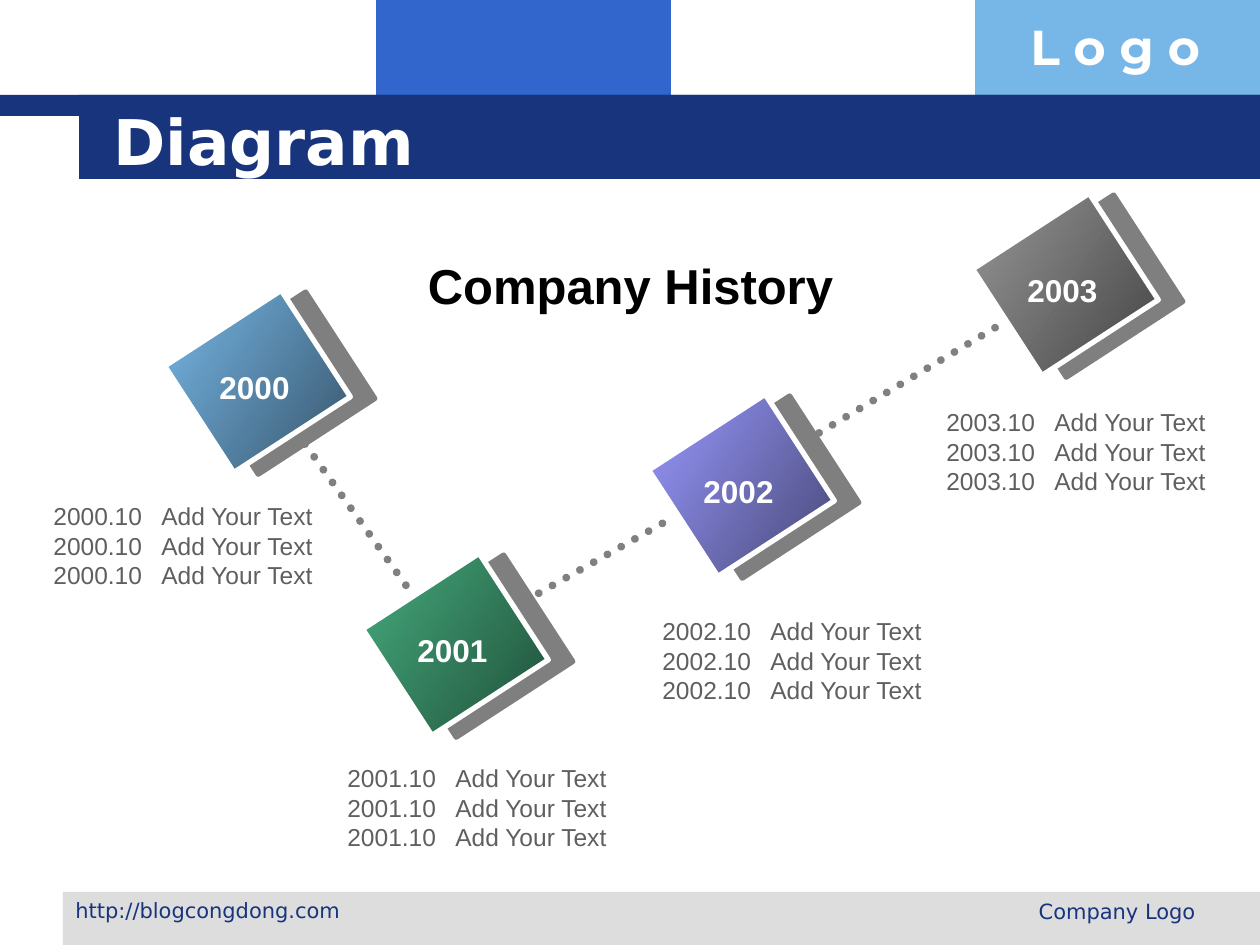
import pptx
import pptx.util
import pptx.dml.color
import pptx.enum.shapes
import pptx.enum.text
import pptx.oxml
import pptx.oxml.ns

EMU_PER_PX = 914400 / 126
ALIGN = pptx.enum.text.PP_ALIGN
ANCHOR = pptx.enum.text.MSO_ANCHOR
COLORS = {
    "navy": "17347D", "blue": "3366CC", "sky": "77B7E7", "footer": "DDDDDD",
    "white": "FFFFFF", "black": "000000", "body": "5F5F5F", "dots": "808080",
}
NS = pptx.oxml.ns.nsdecls("a")


def px(n):
    return pptx.util.Emu(round(n * EMU_PER_PX))


def rgb(name):
    return pptx.dml.color.RGBColor.from_string(COLORS[name])


class Deck:
    """Holds the presentation style and the current slide."""

    def __init__(self, width, height):
        self.prs = pptx.Presentation()
        self.prs.slide_width, self.prs.slide_height = px(width), px(height)
        self.slide = self.prs.slides.add_slide(self.prs.slide_layouts[5])

    def format(self, tf, size, color, font="Arial", bold=False, align=ALIGN.LEFT):
        for p in tf.paragraphs:
            p.alignment = align
            for r in p.runs:
                r.font.size = pptx.util.Pt(size)
                r.font.name, r.font.bold = font, bold
                r.font.color.rgb = rgb(color)

    def title(self, text, box, **style):
        sp = self.slide.shapes.title
        sp.left, sp.top, sp.width, sp.height = map(px, box)
        self.slide.shapes._spTree.append(sp._element)  # in front of the bars
        tf = sp.text_frame
        tf.text = text
        tf.vertical_anchor = ANCHOR.MIDDLE
        self.format(tf, **style)

    def text(self, text, box, wrap=True, tab=None, **style):
        tf = self.slide.shapes.add_textbox(*map(px, box)).text_frame
        tf.text = text
        tf.word_wrap = wrap
        if tab:
            for p in tf.paragraphs:
                p._p.get_or_add_pPr().append(pptx.oxml.parse_xml(
                    f'<a:tabLst {NS}><a:tab pos="{px(tab)}" algn="l"/></a:tabLst>'))
        self.format(tf, **style)

    def rect(self, box, fill):
        sp = self.slide.shapes.add_shape(
            pptx.enum.shapes.MSO_SHAPE.RECTANGLE, *map(px, box))
        sp.shadow.inherit = False
        sp.fill.solid()
        sp.fill.fore_color.rgb = rgb(fill)
        sp.line.fill.background()
        return sp

    def tile(self, box, start, end):
        """Tilted square with a gradient, a white edge and a hard shadow."""
        sp = self.rect(box, "white")
        sp.rotation = 57
        sp.line.color.rgb = rgb("white")
        sp.line.width = pptx.util.Pt(3)
        spPr = sp._element.spPr
        grad = pptx.oxml.parse_xml(
            f'<a:gradFill {NS} rotWithShape="0"><a:gsLst>'
            f'<a:gs pos="0"><a:srgbClr val="{start}"/></a:gs>'
            f'<a:gs pos="100000"><a:srgbClr val="{end}"/></a:gs>'
            f'</a:gsLst><a:lin ang="{33 * 60000}" scaled="0"/></a:gradFill>')
        spPr.replace(spPr.find(pptx.oxml.ns.qn("a:solidFill")), grad)
        spPr.find(pptx.oxml.ns.qn("a:effectLst")).append(pptx.oxml.parse_xml(
            f'<a:outerShdw {NS} dist="{pptx.util.Pt(14)}" dir="{4 * 60000}" '
            f'algn="ctr" rotWithShape="0"><a:srgbClr val="{COLORS["black"]}">'
            f'<a:alpha val="50000"/></a:srgbClr></a:outerShdw>'))

    def dotted_line(self, *ends):
        line = self.slide.shapes.add_connector(
            pptx.enum.shapes.MSO_CONNECTOR.STRAIGHT, *map(px, ends))
        line.line.color.rgb = rgb("dots")
        line.line.width = pptx.util.Pt(4.5)
        ln = line.line._get_or_add_ln()
        ln.set("cap", "rnd")
        ln.append(pptx.oxml.parse_xml(f'<a:prstDash {NS} val="sysDot"/>'))
        line._element.spPr.append(pptx.oxml.parse_xml(f"<a:effectLst {NS}/>"))


def main():
    deck = Deck(1260, 945)

    # Header and footer bars
    for box, fill in [
        ((376, 0, 295, 116), "blue"),
        ((975, 0, 285, 116), "sky"),
        ((63, 892, 1197, 53), "footer"),
        ((0, 95, 1260, 21), "navy"),
        ((79, 95, 1181, 84), "navy"),
    ]:
        deck.rect(box, fill)
    deck.text("L o g o", (1018, 10, 243, 72), size=28, color="white",
              font="Montserrat", bold=True)
    footer = {"size": 12, "color": "navy", "font": "DejaVu Sans"}
    deck.text("http://blogcongdong.com", (63, 891, 300, 44), **footer)
    deck.text("Company Logo", (809, 892, 399, 44), align=ALIGN.RIGHT, **footer)

    # Titles
    deck.title("Diagram", (101, 101, 1075, 78), size=36, color="white",
               font="DejaVu Sans", bold=True)
    deck.text("Company History", (347, 249, 567, 72), size=28, color="black",
              bold=True, align=ALIGN.CENTER)

    # Years: tile corner, notes corner, gradient
    for year, (x, y), (note_x, note_y), gradient in [
        ("2000", (194, 312), (41, 495), ("77B7E7", "37556B")),
        ("2001", (392, 575), (335, 757), ("45AB7D", "204F3A")),
        ("2002", (678, 416), (650, 610), ("9999FF", "474776")),
        ("2003", (1002, 215), (934, 401), ("969696", "454545")),
    ]:
        deck.tile((x, y, 127, 139), *gradient)
        deck.text(year, (x + 13, y + 50, 95, 50), wrap=False, size=18,
                  color="white", bold=True, align=ALIGN.CENTER)
        deck.text("\n".join([f"{year}.10\tAdd Your Text"] * 3),
                  (note_x, note_y, 291, 101), tab=108, size=14, color="body")

    # Links between the years
    for ends in [(305, 444, 410, 591), (525, 601, 672, 518), (819, 433, 998, 326)]:
        deck.dotted_line(*ends)

    deck.prs.save("out.pptx")


if __name__ == "__main__":
    main()
